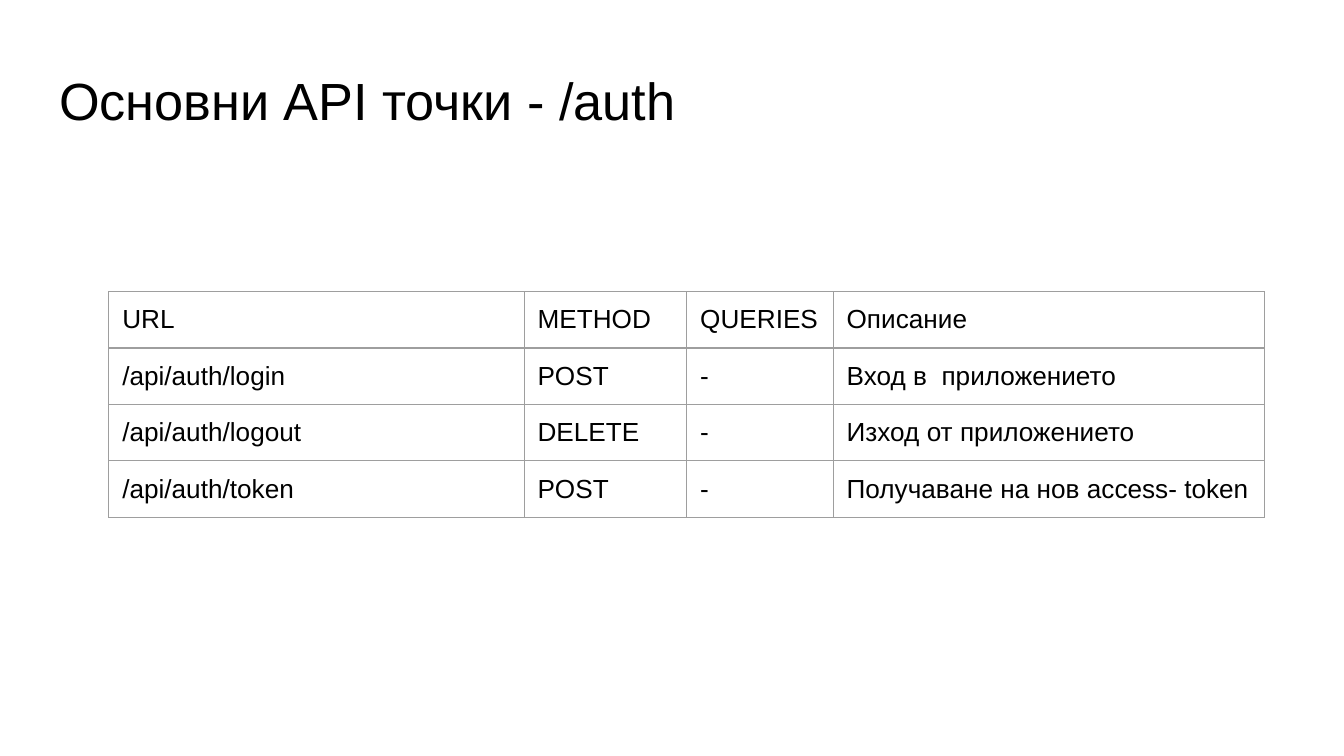
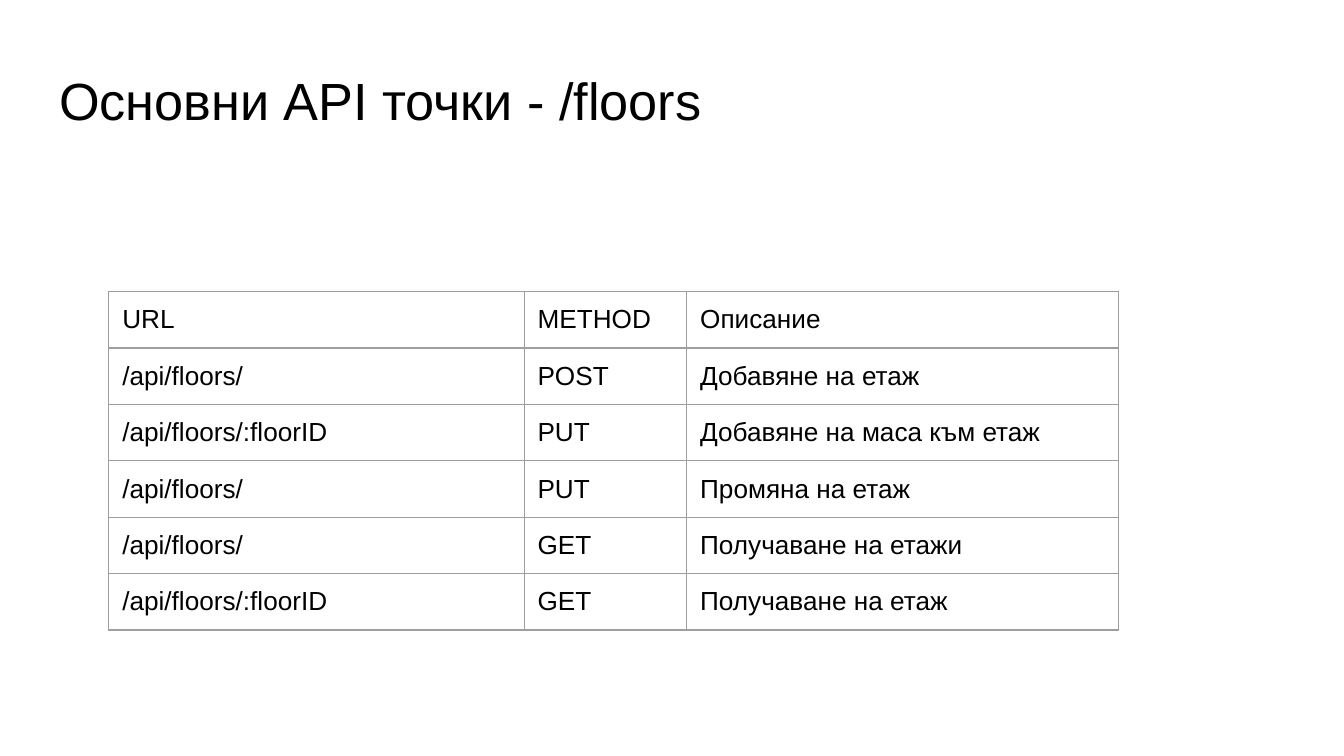
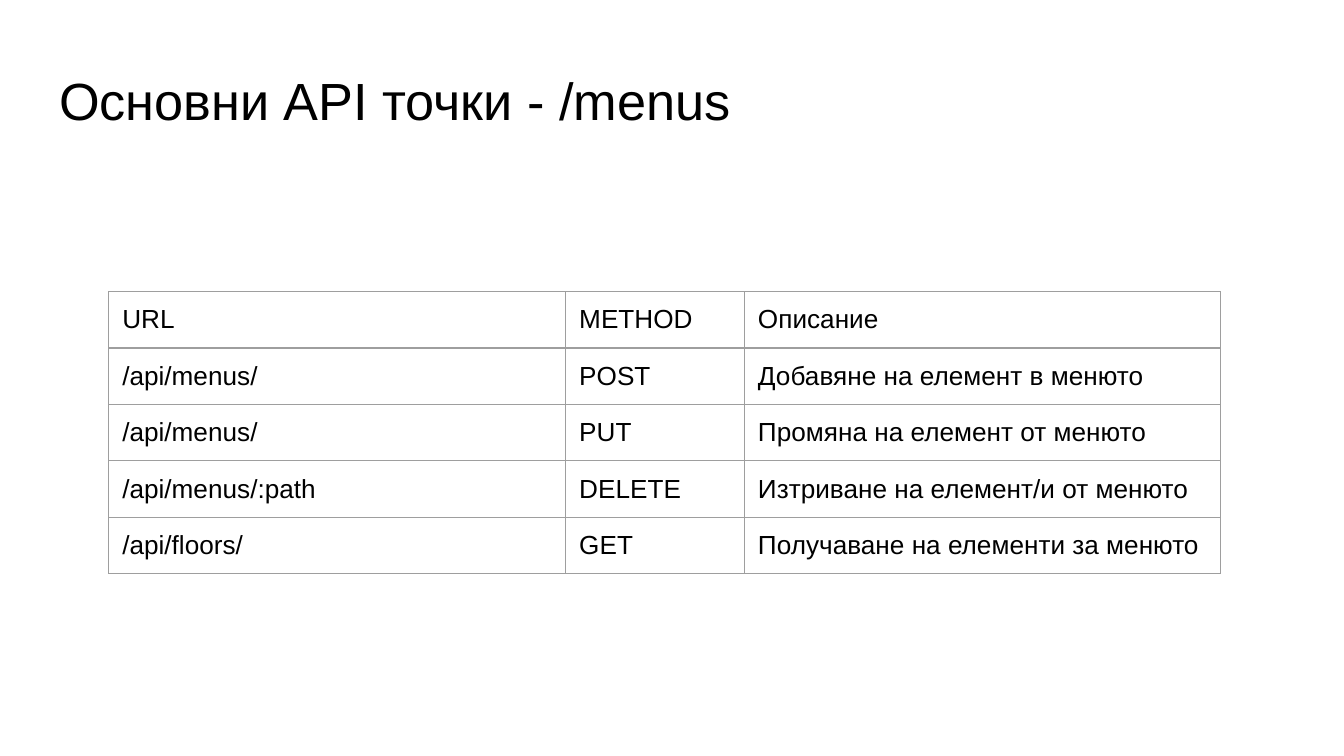
from lxml import etree
from pptx import Presentation
from pptx.dml.color import RGBColor
from pptx.enum.text import MSO_ANCHOR, MSO_AUTO_SIZE, PP_ALIGN
from pptx.oxml.ns import qn
from pptx.util import Inches, Pt

LEFT = PP_ALIGN.LEFT
TOP = MSO_ANCHOR.TOP
NO_AUTOFIT = MSO_AUTO_SIZE.NONE
TITLE_ONLY = 5

COLORS = {"text": "000000", "page": "FFFFFF", "grid": "9E9E9E"}
FONT = "Arial"

# The page is a grid of 100 columns by 56.25 rows
GRID_COLUMNS, GRID_ROWS = 100, 56.25
TITLE_BOX = {"left": 3.4, "top": 4.1, "width": 93.2, "height": 6.3}
TABLE_LEFT, TABLE_TOP = 8.1, 21.7
ROW_HEIGHT = 4.2

INSETS = {f"margin_{side}": Inches(0.1)
          for side in ("left", "right", "top", "bottom")}
TITLE_FRAME = {**INSETS, "word_wrap": True, "auto_size": NO_AUTOFIT,
               "vertical_anchor": TOP}
CELL_FORMAT = {**INSETS, "vertical_anchor": TOP}
PLAIN_TABLE = {"first_row": False, "horz_banding": False}
BORDER_WIDTH = Pt(0.75)
BORDER_SIDES = ("lnL", "lnR", "lnT", "lnB")


def apply_format(target, values):
    for name, value in values.items():
        setattr(target, name, value)


class Deck:
    """Shared style and the slide being built."""

    def __init__(self):
        self.presentation = Presentation()
        apply_format(self.presentation, {"slide_width": Inches(10),
                                         "slide_height": Inches(5.625)})
        self.slide = None

    def x(self, columns):
        return round(self.presentation.slide_width * columns / GRID_COLUMNS)

    def y(self, rows):
        return round(self.presentation.slide_height * rows / GRID_ROWS)

    def add_text(self, frame, text, size):
        paragraph = frame.paragraphs[0]
        paragraph.alignment = LEFT
        run = paragraph.add_run()
        run.text = text
        apply_format(run.font, {"name": FONT, "size": Pt(size), "bold": False})
        run.font.color.rgb = RGBColor.from_string(COLORS["text"])

    def new_slide(self, heading):
        layout = self.presentation.slide_layouts[TITLE_ONLY]
        self.slide = self.presentation.slides.add_slide(layout)
        background = self.slide.background.fill
        background.solid()
        background.fore_color.rgb = RGBColor.from_string(COLORS["page"])
        title = self.slide.shapes.title
        apply_format(title, {"left": self.x(TITLE_BOX["left"]),
                             "top": self.y(TITLE_BOX["top"]),
                             "width": self.x(TITLE_BOX["width"]),
                             "height": self.y(TITLE_BOX["height"])})
        apply_format(title.text_frame, TITLE_FRAME)
        self.add_text(title.text_frame, heading, 28)

    def border(self, cell):
        properties = cell._tc.get_or_add_tcPr()
        for side in BORDER_SIDES:
            line = etree.SubElement(properties, qn(f"a:{side}"),
                                    w=str(int(BORDER_WIDTH)))
            fill = etree.SubElement(line, qn("a:solidFill"))
            etree.SubElement(fill, qn("a:srgbClr"), val=COLORS["grid"])

    def endpoint_table(self, widths, endpoints):
        table = self.slide.shapes.add_table(
            len(endpoints), len(widths), self.x(TABLE_LEFT), self.y(TABLE_TOP),
            self.x(sum(widths)), self.y(ROW_HEIGHT * len(endpoints))).table
        apply_format(table, PLAIN_TABLE)
        for column, width in zip(table.columns, widths):
            column.width = self.x(width)
        for row, endpoint in zip(table.rows, endpoints):
            row.height = self.y(ROW_HEIGHT)
            for cell, text in zip(row.cells, endpoint):
                apply_format(cell, CELL_FORMAT)
                self.border(cell)
                cell.fill.background()
                self.add_text(cell.text_frame, text, 14)


# Endpoints by group: column widths, then header and rows
API_GROUPS = {
    "/auth": ([30.9, 12.1, 10.9, 32.1], [
        ("URL", "METHOD", "QUERIES", "Описание"),
        ("/api/auth/login", "POST", "-", "Вход в  приложението"),
        ("/api/auth/logout", "DELETE", "-", "Изход от приложението"),
        ("/api/auth/token", "POST", "-", "Получаване на нов access- token"),
    ]),
    "/floors": ([30.9, 12.1, 32.1], [
        ("URL", "METHOD", "Описание"),
        ("/api/floors/", "POST", "Добавяне на етаж"),
        ("/api/floors/:floorID", "PUT", "Добавяне на маса към етаж"),
        ("/api/floors/", "PUT", "Промяна на етаж"),
        ("/api/floors/", "GET", "Получаване на етажи"),
        ("/api/floors/:floorID", "GET", "Получаване на етаж"),
    ]),
    "/menus": ([34, 13.3, 35.4], [
        ("URL", "METHOD", "Описание"),
        ("/api/menus/", "POST", "Добавяне на елемент в менюто"),
        ("/api/menus/", "PUT", "Промяна на елемент от менюто"),
        ("/api/menus/:path", "DELETE", "Изтриване на елемент/и от менюто"),
        ("/api/floors/", "GET", "Получаване на елементи за менюто"),
    ]),
}

# One slide per group
deck = Deck()
for group, (widths, endpoints) in API_GROUPS.items():
    deck.new_slide(f"Основни API точки - {group}")
    deck.endpoint_table(widths, endpoints)

deck.presentation.save("out.pptx")
